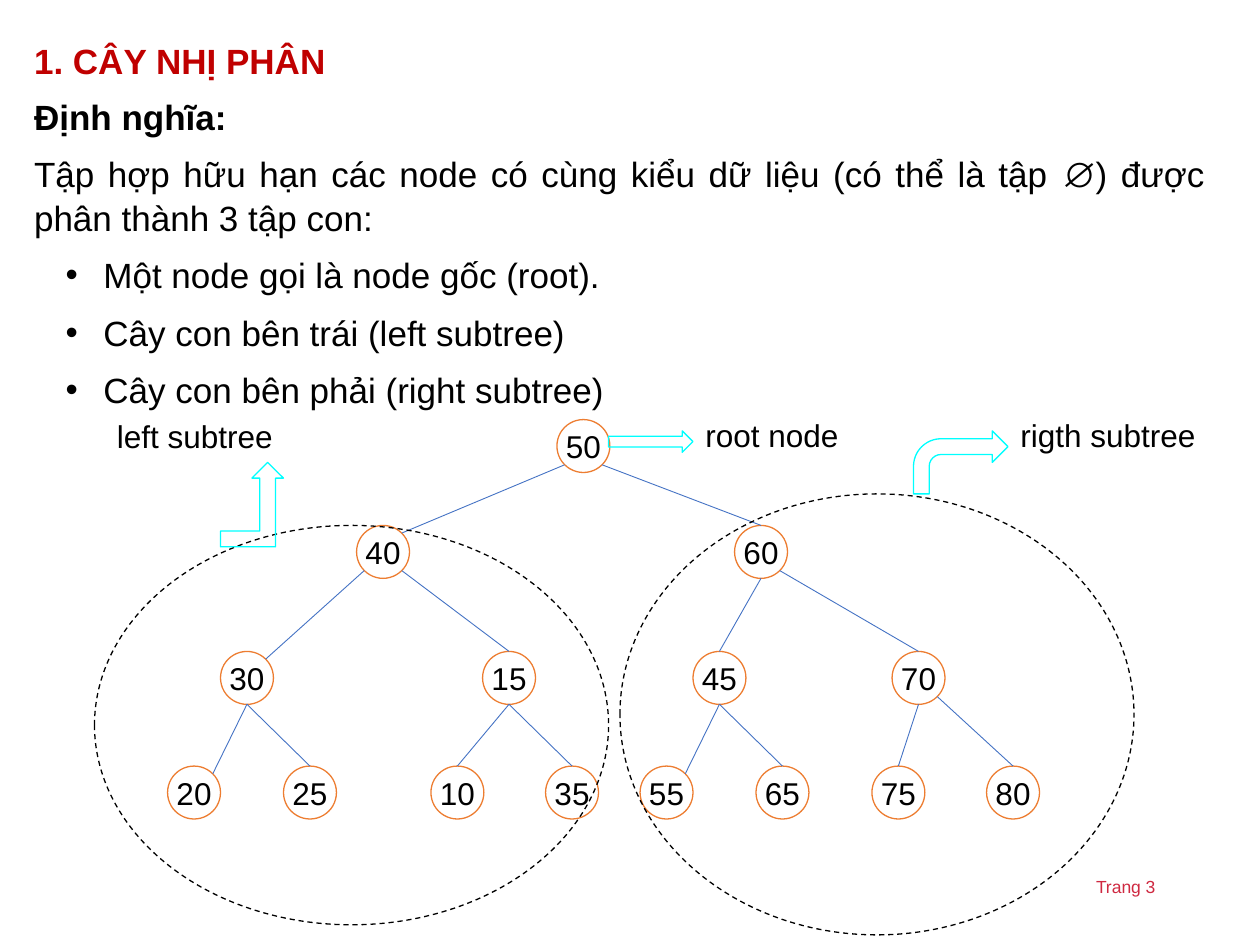
from lxml import etree
from pptx import Presentation
from pptx.dml.color import RGBColor
from pptx.enum.dml import MSO_LINE
from pptx.enum.shapes import MSO_CONNECTOR, MSO_SHAPE
from pptx.enum.text import MSO_ANCHOR, MSO_AUTO_SIZE, PP_ALIGN
from pptx.oxml.ns import qn
from pptx.util import Inches, Pt

LEFT, CENTER, JUSTIFY = PP_ALIGN.LEFT, PP_ALIGN.CENTER, PP_ALIGN.JUSTIFY
TOP, MIDDLE = MSO_ANCHOR.TOP, MSO_ANCHOR.MIDDLE
NO_AUTOFIT = MSO_AUTO_SIZE.NONE
STRAIGHT = MSO_CONNECTOR.STRAIGHT
DASH = MSO_LINE.DASH
OVAL = MSO_SHAPE.OVAL

RED = RGBColor(0xC0, 0x00, 0x00)
BLACK = RGBColor(0x00, 0x00, 0x00)
ORANGE = RGBColor(0xED, 0x7D, 0x31)
BLUE = RGBColor(0x44, 0x72, 0xC4)
CYAN = RGBColor(0x00, 0xFF, 0xFF)
CRIMSON = RGBColor(0xCF, 0x29, 0x41)


def write(paragraph, text, size=18, color=BLACK, bold=False, align=LEFT):
    """Fill a paragraph with one formatted run."""
    paragraph.alignment = align
    run = paragraph.add_run()
    run.text = text
    run.font.name = "Arial"
    run.font.size = Pt(size)
    run.font.bold = bold
    run.font.color.rgb = color


def add_outline(kind, left, top, width, height, color):
    """Add an unfilled preset shape with a thin line."""
    shape = slide.shapes.add_shape(
        kind, Inches(left), Inches(top), Inches(width), Inches(height))
    shape.shadow.inherit = False
    shape.fill.background()
    shape.line.color.rgb = color
    shape.line.width = Pt(0.75)
    return shape


presentation = Presentation()
presentation.slide_width = Inches(10)
presentation.slide_height = Inches(7.5)
slide = presentation.slides.add_slide(presentation.slide_layouts[1])

# Title and body placeholders
title = slide.shapes.title
body = slide.placeholders[1]
for placeholder, top, height in [(title, 0.25, 0.44), (body, 0.69, 2.52)]:
    placeholder.left, placeholder.top = Inches(0.17), Inches(top)
    placeholder.width, placeholder.height = Inches(9.5), Inches(height)
    placeholder.text_frame.auto_size = NO_AUTOFIT
    placeholder.text_frame.vertical_anchor = TOP

heading = title.text_frame.paragraphs[0]
heading.line_spacing = 1.05
write(heading, "1. CÂY NHỊ PHÂN", size=20, color=RED, bold=True)

# Definition and its bullet list: text, bold, bulleted
definition = [
    ("Định nghĩa:", True, False),
    ("Tập hợp hữu hạn các node có cùng kiểu dữ liệu (có thể là tập ∅) "
     "được phân thành 3 tập con:", False, False),
    ("Một node gọi là node gốc (root).", False, True),
    ("Cây con bên trái (left subtree)", False, True),
    ("Cây con bên phải (right subtree)", False, True),
]
for index, (text, bold, bulleted) in enumerate(definition):
    frame = body.text_frame
    paragraph = frame.add_paragraph() if index else frame.paragraphs[0]
    write(paragraph, text, size=20, bold=bold, align=JUSTIFY)
    paragraph.level = 1 if bulleted else 0
    paragraph.line_spacing = 1.05
    paragraph.space_before = Pt(7.5)
    properties = paragraph._p.get_or_add_pPr()
    properties.set("marL", str(Inches(0.55) if bulleted else 0))
    properties.set("indent", str(Inches(-0.3) if bulleted else 0))
    if bulleted:
        etree.SubElement(properties, qn("a:buFont")).set("typeface", "Arial")
        etree.SubElement(properties, qn("a:buChar")).set("char", "•")
    else:
        etree.SubElement(properties, qn("a:buNone"))

# Tree nodes: each level has a top and the left of every node
NODE = 0.42
levels = [
    (3.33, {50: 4.42}),
    (4.17, {40: 2.83, 60: 5.83}),
    (5.17, {30: 1.75, 15: 3.83, 45: 5.5, 70: 7.08}),
    (6.08, {20: 1.33, 25: 2.25, 10: 3.42, 35: 4.33,
            55: 5.08, 65: 6, 75: 6.92, 80: 7.83}),
]
centers = {}
for top, nodes in levels:
    for value, left in nodes.items():
        node = add_outline(OVAL, left, top, NODE, NODE, ORANGE)
        node.text_frame.word_wrap = False
        node.text_frame.vertical_anchor = MIDDLE
        write(node.text_frame.paragraphs[0], str(value), align=CENTER)
        centers[value] = (left + NODE / 2, top + NODE / 2)

# Tree edges run between points on the node rims
RADIUS = NODE / 2
DIAGONAL = RADIUS * 0.71
rim = {
    "top": (0, -RADIUS),
    "bottom": (0, RADIUS),
    "top right": (DIAGONAL, -DIAGONAL),
    "bottom left": (-DIAGONAL, DIAGONAL),
    "bottom right": (DIAGONAL, DIAGONAL),
}
edges = [
    (50, "bottom left", 40, "top right"), (50, "bottom right", 60, "top"),
    (40, "bottom left", 30, "top right"), (40, "bottom right", 15, "top"),
    (60, "bottom", 45, "top"), (60, "bottom right", 70, "top"),
    (30, "bottom", 20, "top right"), (30, "bottom", 25, "top"),
    (15, "bottom", 10, "top"), (15, "bottom", 35, "top"),
    (45, "bottom", 55, "top right"), (45, "bottom", 65, "top"),
    (70, "bottom", 75, "top"), (70, "bottom right", 80, "top"),
]
for parent, parent_side, child, child_side in edges:
    ends = [Inches(center + offset)
            for value, side in [(parent, parent_side), (child, child_side)]
            for center, offset in zip(centers[value], rim[side])]
    edge = slide.shapes.add_connector(STRAIGHT, *ends)
    edge.line.color.rgb = BLUE
    edge.line.width = Pt(0.5)
    etree.SubElement(edge._element.spPr, qn("a:effectLst"))

# Dashed subtree outlines
for left, top, height in [(0.75, 4.17, 3.17), (4.92, 3.92, 3.5)]:
    subtree = add_outline(OVAL, left, top, 4.08, height, BLACK)
    subtree.line.dash_style = DASH

# Arrows towards the labels
add_outline(MSO_SHAPE.RIGHT_ARROW, 4.83, 3.42, 0.67, 0.17, CYAN)
add_outline(MSO_SHAPE.BENT_ARROW, 7.25, 3.42, 0.75, 0.5, CYAN)
add_outline(MSO_SHAPE.BENT_UP_ARROW, 1.75, 3.67, 0.5, 0.67, CYAN)

# Labels and page number
labels = [
    ("root node", 5.5, 3.25, 1.5, 0.4, 18, BLACK),
    ("rigth subtree", 8, 3.25, 1.67, 0.4, 18, BLACK),
    ("left subtree", 0.83, 3.26, 1.67, 0.4, 18, BLACK),
    ("Trang 3", 8.6, 6.9, 1.21, 0.27, 10, CRIMSON),
]
for text, left, top, width, height, size, color in labels:
    label = slide.shapes.add_textbox(
        Inches(left), Inches(top), Inches(width), Inches(height))
    label.text_frame.word_wrap = True
    write(label.text_frame.paragraphs[0], text, size=size, color=color)

presentation.save("out.pptx")
